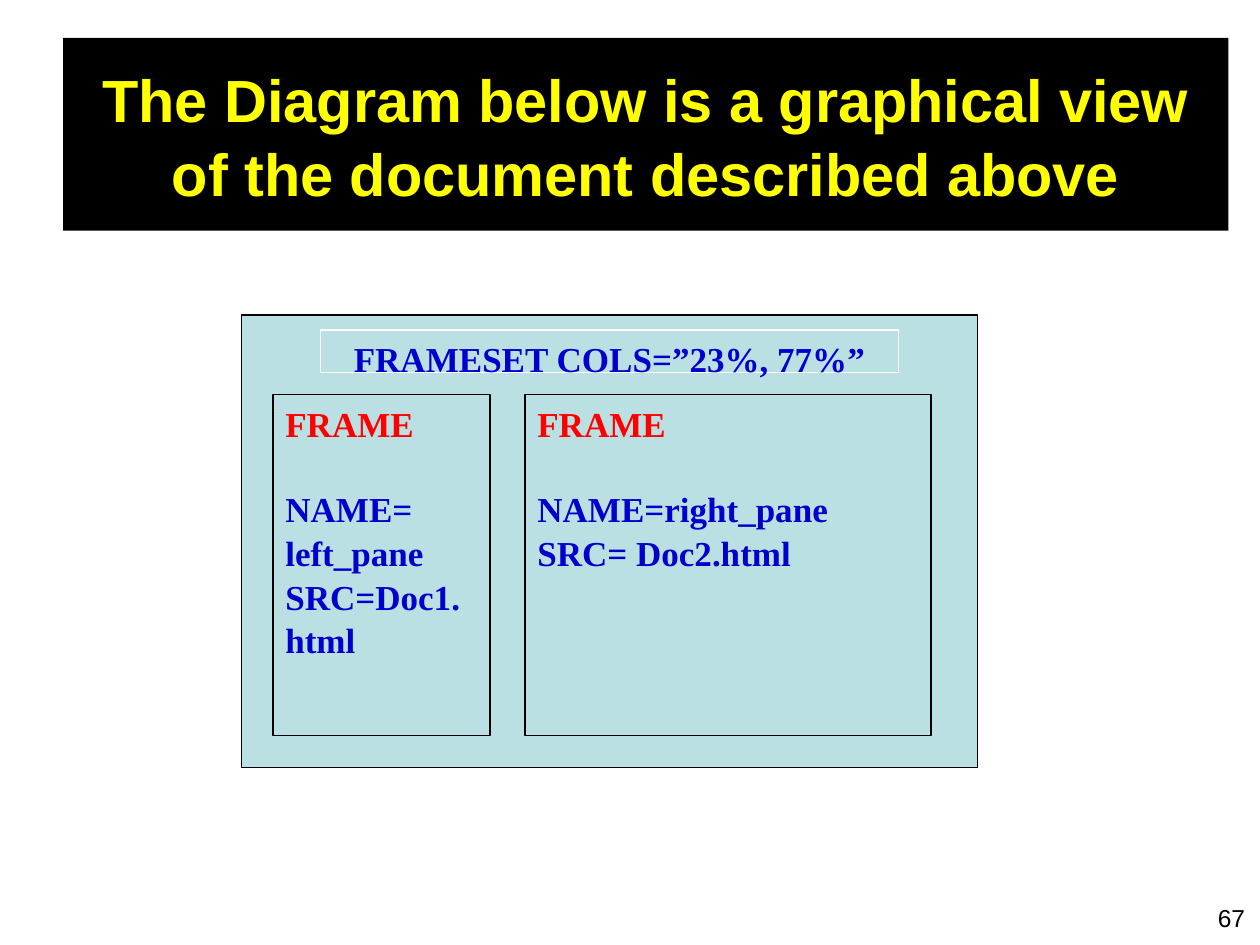
from pptx import Presentation
from pptx.dml.color import RGBColor
from pptx.enum.shapes import MSO_SHAPE
from pptx.enum.text import MSO_ANCHOR, PP_ALIGN
from pptx.util import Pt

RECT = MSO_SHAPE.RECTANGLE
TOP, MIDDLE = MSO_ANCHOR.TOP, MSO_ANCHOR.MIDDLE
LEFT, CENTER, RIGHT = PP_ALIGN.LEFT, PP_ALIGN.CENTER, PP_ALIGN.RIGHT

COLORS = {
    "black": "000000",
    "white": "FFFFFF",
    "yellow": "FFFF00",
    "pane": "BBE0E3",
    "blue": "0000CC",
    "red": "FF0000",
}
SERIF, SANS = "Times New Roman", "Arial"
LINE_SPACING = 1.04
FRAME_TOP, FRAME_HEIGHT = 225.4, 195


def rgb(name):
    return RGBColor.from_string(COLORS[name])


def add_box(shapes, left, top, width, height, fill="pane", line="black"):
    sp = shapes.add_shape(RECT, Pt(left), Pt(top), Pt(width), Pt(height))
    sp.shadow.inherit = False
    sp.fill.solid()
    sp.fill.fore_color.rgb = rgb(fill)
    if line:
        sp.line.color.rgb = rgb(line)
        sp.line.width = Pt(0.75)
    else:
        sp.line.fill.background()
    return sp


def add_text(sp, text, first=True, size=20, font=SERIF, color="blue",
             bold=True, align=LEFT, anchor=TOP, before=0):
    """Write one paragraph, as the first of the shape or after the others."""
    tf = sp.text_frame
    tf.word_wrap = True
    tf.vertical_anchor = anchor
    p = tf.paragraphs[0] if first else tf.add_paragraph()
    p.alignment = align
    p.line_spacing = LINE_SPACING
    if before:
        p.space_before = Pt(before)
    r = p.add_run()
    r.text = text
    r.font.size = Pt(size)
    r.font.name = font
    r.font.bold = bold
    r.font.color.rgb = rgb(color)


def add_frame(shapes, left, width, name, source):
    sp = add_box(shapes, left, FRAME_TOP, width, FRAME_HEIGHT)
    add_text(sp, "FRAME", color="red")
    add_text(sp, name, first=False, before=24)
    add_text(sp, source, first=False)


def add_frameset(slide):
    shapes = slide.shapes.add_group_shape().shapes
    add_box(shapes, 138, 180, 420.5, 258.5)
    label = add_box(shapes, 183, 188.6, 330.5, 24.5, line="white")
    add_text(label, "FRAMESET COLS=”23%, 77%”", align=CENTER)
    add_frame(shapes, 300, 232, "NAME=right_pane", "SRC= Doc2.html")
    add_frame(shapes, 156, 124, "NAME= left_pane", "SRC=Doc1.html")


def main():
    prs = Presentation()
    prs.slide_width, prs.slide_height = Pt(720), Pt(540)
    slide = prs.slides.add_slide(prs.slide_layouts[6])

    title = add_box(slide.shapes, 36, 21.6, 666, 110.2, fill="black", line=None)
    add_text(title, "The Diagram below is a graphical view of the document "
             "described above", size=34, font=SANS, color="yellow",
             align=CENTER, anchor=MIDDLE)

    add_frameset(slide)

    number = slide.shapes.add_textbox(Pt(553), Pt(512), Pt(165.6), Pt(35.3))
    add_text(number, "67", size=14, font=SANS, color="black", bold=False,
             align=RIGHT)

    prs.save("out.pptx")


if __name__ == "__main__":
    main()
